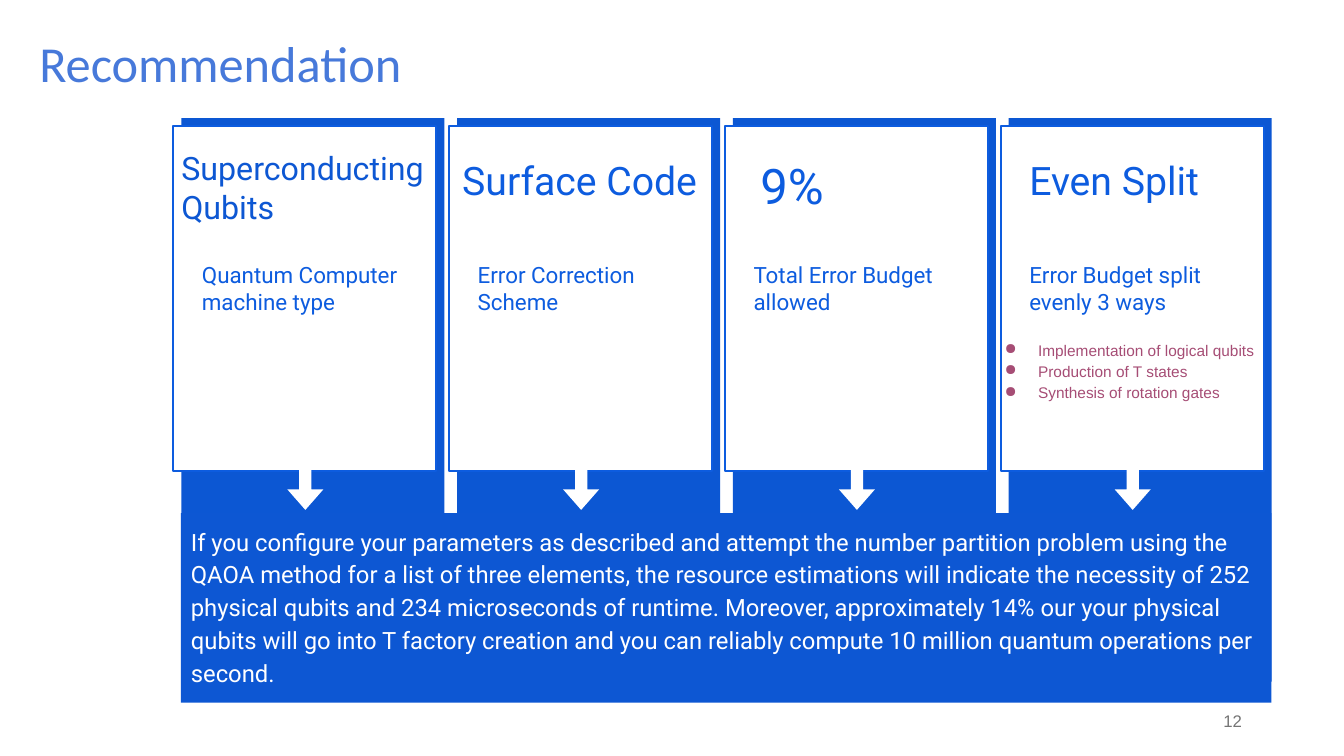
from lxml import etree
from pptx import Presentation
from pptx import util as u
from pptx.dml.color import RGBColor
from pptx.enum import shapes, text
from pptx.oxml import ns

COLORS = {
    "title": "4779DA",
    "panel": "0C57D3",
    "summary": "0D57D3",
    "accent": "0D5CDF",
    "bullet": "A64D75",
    "number": "757575",
    "white": "FFFFFF",
}
INSET = 0.33
PITCH = 6.95
SPLITS = [
    "Implementation of logical qubits",
    "Production of T states",
    "Synthesis of rotation gates",
]
CARDS = [
    ("Superconducting Qubits", 23, "summary", (-0.33, 0.43, 6.96, 2.69),
     "Quantum Computer machine type", []),
    ("Surface Code", 28, "accent", (-0.2, 0.64, 6.63, 2.36),
     "Error Correction Scheme", []),
    ("9%", 35, "accent", (0.36, 0.61, 5.92, 1.88),
     "Total Error Budget allowed", []),
    ("Even Split", 28, "accent", (0.19, 0.64, 5.92, 2.36),
     "Error Budget split evenly 3 ways", SPLITS),
]
SUMMARY = (
    "If you configure your parameters as described and attempt the number "
    "partition problem using the QAOA method for a list of three elements, "
    "the resource estimations will indicate the necessity of 252 physical "
    "qubits and 234 microseconds of runtime. Moreover, approximately 14% our "
    "your physical qubits will go into T factory creation and you can reliably "
    "compute 10 million quantum operations per second."
)


def color(name):
    """Return the named palette colour."""
    return RGBColor.from_string(COLORS[name])


def lengths(box):
    """Convert a box in centimetres to lengths."""
    return [u.Cm(value) for value in box]


def within(box, offset):
    """Place an offset box relative to the corner of another box."""
    return (box[0] + offset[0], box[1] + offset[1], *offset[2:])


def write(shape, lines, size, font, ink, inset=(0.25, 0.13), spacing=None,
          align=text.PP_ALIGN.LEFT, anchor=text.MSO_ANCHOR.TOP, bullet=False):
    """Fill a shape with uniformly formatted paragraphs."""
    frame = shape.text_frame
    frame.word_wrap = True
    frame.auto_size = text.MSO_AUTO_SIZE.NONE
    frame.vertical_anchor = anchor
    frame.margin_left = frame.margin_right = u.Cm(inset[0])
    frame.margin_top = frame.margin_bottom = u.Cm(inset[1])
    frame.text = "\n".join(lines)
    for para in frame.paragraphs:
        para.alignment = align
        if spacing:
            para.line_spacing = spacing
        if bullet:
            add_bullet(para)
        for span in para.runs:
            span.font.size = u.Pt(size)
            span.font.name = font
            span.font.color.rgb = color(ink)


def add_bullet(para):
    """Give a paragraph a hanging round bullet."""
    props = para._p.get_or_add_pPr()
    props.set("marL", str(u.Cm(1.27)))
    props.set("indent", str(u.Cm(-0.84)))
    tint = etree.SubElement(props, ns.qn("a:buClr"))
    etree.SubElement(tint, ns.qn("a:srgbClr"), val=COLORS["bullet"])
    etree.SubElement(props, ns.qn("a:buChar"), char="●")


def add_text(page, box, lines, size, font, ink, **options):
    """Add a text box."""
    label = page.shapes.add_textbox(*lengths(box))
    write(label, lines, size, font, ink, **options)


def add_block(page, kind, box, fill, outline=None):
    """Add a filled shape without shadow."""
    block = page.shapes.add_shape(kind, *lengths(box))
    block.shadow.inherit = False
    block.fill.solid()
    block.fill.fore_color.rgb = color(fill)
    if outline:
        block.line.color.rgb = color(outline)
        block.line.width = u.Pt(1.5)
    else:
        block.line.fill.background()
    return block


def add_title(page, box):
    """Move and format the title placeholder."""
    title = page.shapes.title
    title.left, title.top, title.width, title.height = lengths(box)
    write(title, ["Recommendation"], 36, "Calibri", "title", spacing=0.9,
          anchor=text.MSO_ANCHOR.MIDDLE)


def add_card(page, box, heading, size, ink, heading_box, caption, points):
    """Draw one recommendation card with its arrow to the summary."""
    rectangle = shapes.MSO_SHAPE.RECTANGLE
    inset = (INSET, INSET)
    add_block(page, rectangle, box, "panel")
    add_block(page, rectangle, within(box, (-0.2, 0.2, box[2], 8.69)),
              "white", "accent")
    add_text(page, within(box, (0.19, 3.28, 5.92, 2.11)), [caption], 16,
             "Roboto", "accent", inset=inset)
    add_text(page, within(box, heading_box), [heading], size, "Roboto", ink,
             inset=inset)
    arrow = add_block(page, shapes.MSO_SHAPE.RIGHT_ARROW,
                      within(box, (2.45, 8.74, 1.35, 0.91)), "white")
    arrow.rotation = 90
    arrow.adjustments[0] = 0.34
    arrow.adjustments[1] = 0.57
    if points:
        add_text(page, within(box, (-0.86, 5.21, 7.49, 3.78)), points, 11,
                 "Arial", "bullet", inset=inset, spacing=1.15, bullet=True)


def add_summary(page, box):
    """Draw the summary band under the cards."""
    band = add_block(page, shapes.MSO_SHAPE.RECTANGLE, box, "summary")
    write(band, [SUMMARY], 17, "Roboto", "white", inset=(0.25, 0.25),
          spacing=1.15)


def add_number(page, box):
    """Write the page number."""
    add_text(page, box, ["12"], 12, "Arial", "number",
             align=text.PP_ALIGN.RIGHT, anchor=text.MSO_ANCHOR.MIDDLE)


def main():
    """Build and save the deck."""
    deck = Presentation()
    deck.slide_width, deck.slide_height = u.Cm(33.87), u.Cm(19.05)
    page = deck.slides.add_slide(deck.slide_layouts[5])
    add_title(page, (0.74, 0.56, 32.08, 2.21))
    for index, card in enumerate(CARDS):
        add_card(page, (4.57 + index * PITCH, 2.98, 6.63, 14.2), *card)
    add_summary(page, (4.56, 12.93, 27.48, 4.78))
    add_number(page, (23.93, 17.65, 7.62, 1.02))
    deck.save("out.pptx")


if __name__ == "__main__":
    main()
